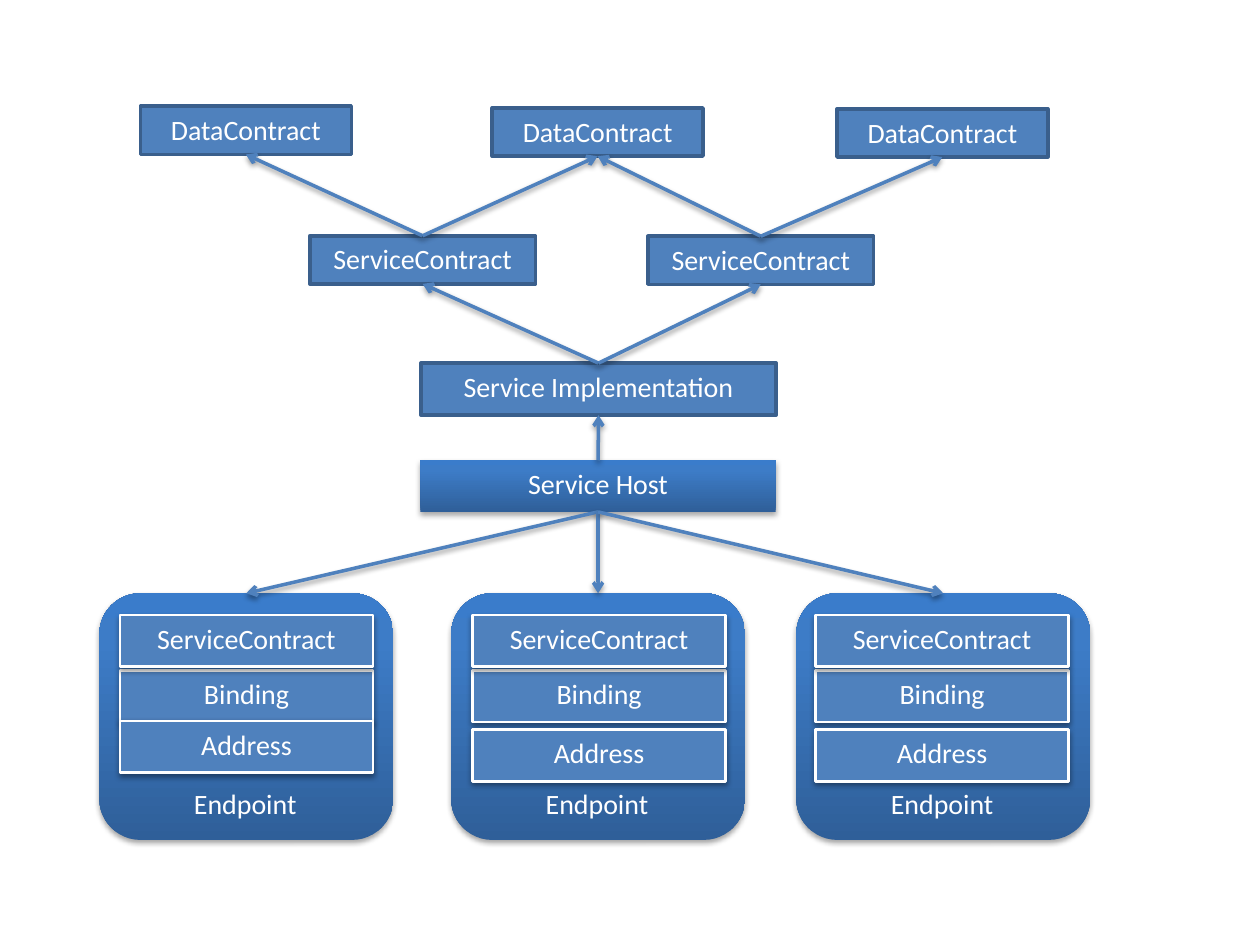
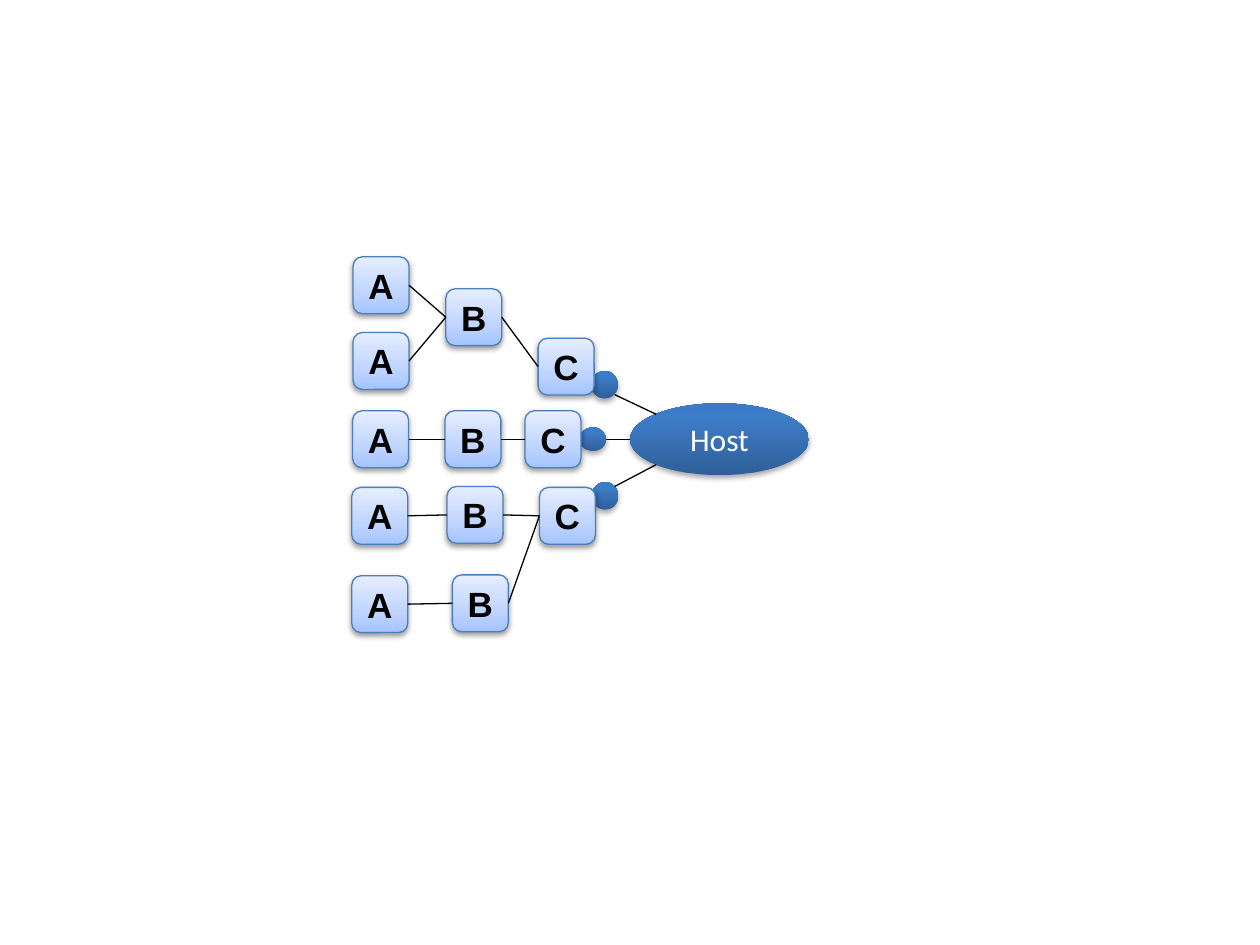
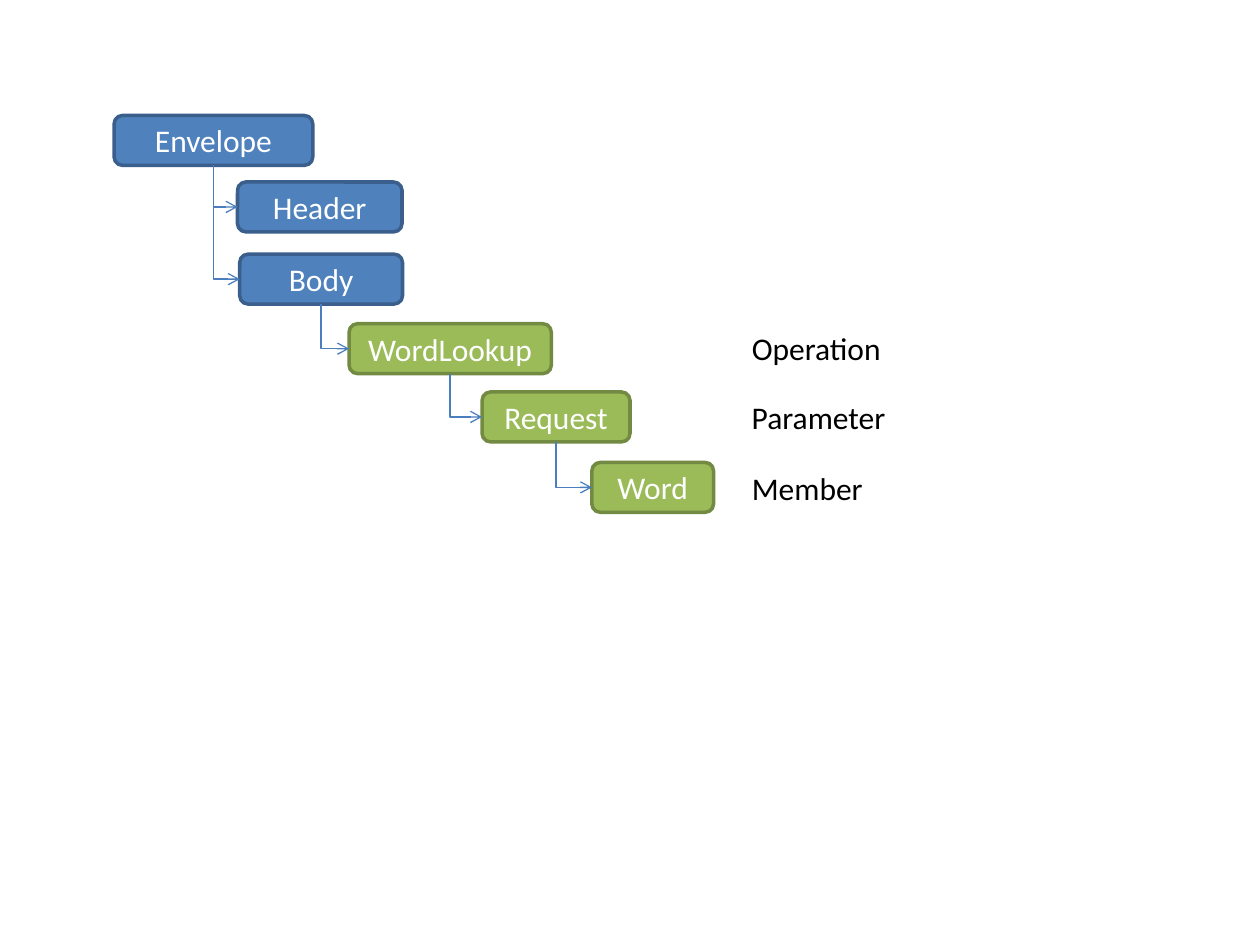
"""Build three diagram slides: service structure, hosted parts, message tree."""
from dataclasses import dataclass
from typing import NamedTuple, Optional

from lxml import etree
from pptx import Presentation
from pptx.dml.color import RGBColor
from pptx.enum.shapes import MSO_CONNECTOR, MSO_SHAPE
from pptx.enum.text import MSO_ANCHOR, MSO_AUTO_SIZE, PP_ALIGN
from pptx.oxml.ns import qn
from pptx.shapes.autoshape import Shape
from pptx.shapes.connector import Connector
from pptx.slide import Slide
from pptx.util import Pt

RECTANGLE = MSO_SHAPE.RECTANGLE
ROUNDED = MSO_SHAPE.ROUNDED_RECTANGLE
OVAL = MSO_SHAPE.OVAL
STRAIGHT = MSO_CONNECTOR.STRAIGHT
ELBOW = MSO_CONNECTOR.ELBOW
TOP_ANCHOR = MSO_ANCHOR.TOP
MIDDLE_ANCHOR = MSO_ANCHOR.MIDDLE
FIT_SHAPE = MSO_AUTO_SIZE.SHAPE_TO_FIT_TEXT
CENTER = PP_ALIGN.CENTER

WHITE = RGBColor(0xFF, 0xFF, 0xFF)
BLACK = RGBColor(0x00, 0x00, 0x00)
BLUE = RGBColor(0x4F, 0x81, 0xBD)
BLUE_EDGE = RGBColor(0x3A, 0x5F, 0x8C)
BLUE_THIN = RGBColor(0x4B, 0x7E, 0xBC)
GREEN = RGBColor(0x9B, 0xBB, 0x59)
GREEN_EDGE = RGBColor(0x73, 0x8A, 0x42)
DEEP_GRADIENT = ((0, RGBColor(0x2F, 0x5F, 0x99)), (80, RGBColor(0x3D, 0x7C, 0xC7)),
                 (100, RGBColor(0x3A, 0x7C, 0xCB)))
PALE_GRADIENT = ((0, RGBColor(0xA4, 0xC4, 0xFF)), (35, RGBColor(0xBF, 0xD4, 0xFF)),
                 (100, RGBColor(0xE6, 0xEE, 0xFF)))

# Connection sites of rectangles
TOP, LEFT, BOTTOM, RIGHT = range(4)


class Shadow(NamedTuple):
    """A soft black shadow straight below a shape."""
    opacity: int
    distance: float
    blur: float = 3.15


class Frame(NamedTuple):
    """Position and size in points."""
    left: float
    top: float
    width: float
    height: float


@dataclass(frozen=True)
class TextStyle:
    """Look of the text in a shape."""
    size: float
    color: RGBColor = WHITE
    font: str = "Calibri"
    bold: bool = False
    anchor: MSO_ANCHOR = MIDDLE_ANCHOR
    wrap: bool = True


@dataclass(frozen=True)
class BoxStyle:
    """Look of a filled shape."""
    kind: MSO_SHAPE
    text: TextStyle
    fill: Optional[RGBColor] = None
    gradient: tuple = ()
    edge: Optional[RGBColor] = None
    edge_width: float = 0
    shadow: Optional[Shadow] = None


@dataclass(frozen=True)
class LineStyle:
    """Look of a connector."""
    color: RGBColor
    width: float
    arrow: bool = False
    shadow: Optional[Shadow] = None


DEEP_SHADOW = Shadow(35, 1.8)
SOFT_SHADOW = Shadow(38, 1.6)

BODY = TextStyle(16, anchor=TOP_ANCHOR)
HEADING = TextStyle(18)
HOST_TEXT = TextStyle(18, wrap=False)
LETTER = TextStyle(20, BLACK, "Arial", bold=True, wrap=False)

CONTRACT = BoxStyle(RECTANGLE, BODY, BLUE, edge=BLUE_EDGE, edge_width=2)
SERVICE_HOST = BoxStyle(RECTANGLE, BODY, gradient=DEEP_GRADIENT, shadow=DEEP_SHADOW)
CARD = BoxStyle(ROUNDED, BODY, gradient=DEEP_GRADIENT, shadow=DEEP_SHADOW)
CARD_ROW = BoxStyle(RECTANGLE, BODY, BLUE, edge=WHITE, edge_width=1.5, shadow=SOFT_SHADOW)
HOST = BoxStyle(OVAL, HOST_TEXT, gradient=DEEP_GRADIENT, shadow=DEEP_SHADOW)
TILE = BoxStyle(ROUNDED, LETTER, gradient=PALE_GRADIENT, edge=BLUE_THIN,
                edge_width=0.75, shadow=SOFT_SHADOW)
BLUE_NODE = BoxStyle(ROUNDED, HEADING, BLUE, edge=BLUE_EDGE, edge_width=2)
GREEN_NODE = BoxStyle(ROUNDED, HEADING, GREEN, edge=GREEN_EDGE, edge_width=2)

FLOW = LineStyle(BLUE, 2, arrow=True, shadow=SOFT_SHADOW)
WIRE = LineStyle(BLACK, 0.75)
BRANCH = LineStyle(BLUE_THIN, 0.75, arrow=True)


def add_effects(element: etree._Element, shadow: Optional[Shadow]) -> None:
    """Append an effect list, empty unless a shadow is given."""
    effects = etree.SubElement(element, qn("a:effectLst"))
    if shadow:
        outer = etree.SubElement(
            effects, qn("a:outerShdw"), blurRad=str(Pt(shadow.blur)),
            dist=str(Pt(shadow.distance)), dir="5400000", rotWithShape="0")
        color = etree.SubElement(outer, qn("a:srgbClr"), val=str(BLACK))
        etree.SubElement(color, qn("a:alpha"), val=str(shadow.opacity * 1000))


def fill_gradient(shape: Shape, stops: tuple) -> None:
    """Fill a shape with a gradient running from bottom to top."""
    shape.fill.gradient()
    shape.fill.gradient_angle = 90
    stop_list = shape._element.spPr.find(qn("a:gradFill")).find(qn("a:gsLst"))
    for old_stop in list(stop_list):
        stop_list.remove(old_stop)
    for position, color in stops:
        stop = etree.SubElement(stop_list, qn("a:gs"), pos=str(position * 1000))
        etree.SubElement(stop, qn("a:srgbClr"), val=str(color))


def write_text(shape: Shape, text: str, style: TextStyle) -> None:
    """Put one styled paragraph in a shape."""
    frame = shape.text_frame
    frame.word_wrap = style.wrap
    frame.vertical_anchor = style.anchor
    paragraph = frame.paragraphs[0]
    paragraph.text = text
    paragraph.font.name = style.font
    paragraph.font.size = Pt(style.size)
    paragraph.font.bold = style.bold
    paragraph.font.color.rgb = style.color


def add_box(slide: Slide, frame: Frame, style: BoxStyle, text: str = "") -> Shape:
    """Draw a filled shape with optional centred text."""
    shape = slide.shapes.add_shape(style.kind, *map(Pt, frame))
    if style.gradient:
        fill_gradient(shape, style.gradient)
    else:
        shape.fill.solid()
        shape.fill.fore_color.rgb = style.fill
    if style.edge is None:
        shape.line.fill.background()
    else:
        shape.line.color.rgb = style.edge
        shape.line.width = Pt(style.edge_width)
    add_effects(shape._element.spPr, style.shadow)
    if text:
        write_text(shape, text, style.text)
        shape.text_frame.paragraphs[0].alignment = CENTER
    return shape


def add_label(slide: Slide, frame: Frame, text: str, style: TextStyle) -> None:
    """Draw a text box that fits its single line."""
    label = slide.shapes.add_textbox(*map(Pt, frame))
    write_text(label, text, style)
    label.text_frame.auto_size = FIT_SHAPE


def style_line(connector: Connector, style: LineStyle) -> None:
    """Set colour, width, arrowhead and shadow of a connector."""
    connector.line.color.rgb = style.color
    connector.line.width = Pt(style.width)
    properties = connector._element.spPr
    if style.arrow:
        etree.SubElement(properties.find(qn("a:ln")), qn("a:tailEnd"), type="arrow")
    add_effects(properties, style.shadow)


def link(slide: Slide, start: Shape, start_site: int, end: Shape, end_site: int,
         style: LineStyle) -> None:
    """Join two shapes at their connection sites with a straight line."""
    connector = slide.shapes.add_connector(STRAIGHT, 0, 0, 0, 0)
    connector.begin_connect(start, start_site)
    connector.end_connect(end, end_site)
    style_line(connector, style)


def branch(slide: Slide, parent: Shape, child: Shape) -> None:
    """Draw an arrow down from a parent, then right into a child."""
    start_x, start_y = parent.left + parent.width // 2, parent.top + parent.height
    across = child.left - start_x
    down = child.top + child.height // 2 - start_y
    # The frame is turned a quarter, so its width is the drop
    left = start_x + (across - down) // 2
    top = start_y + (down - across) // 2
    connector = slide.shapes.add_connector(ELBOW, left, top, left + down, top + across)
    properties = connector._element.spPr
    properties.find(qn("a:prstGeom")).set("prst", "bentConnector2")
    transform = properties.find(qn("a:xfrm"))
    transform.set("rot", "16200000")
    transform.set("flipH", "1")
    style_line(connector, BRANCH)


def add_endpoint(slide: Slide, left: float, row_left: float, address_top: float) -> Shape:
    """Draw an endpoint card with its three rows and its label."""
    card = add_box(slide, Frame(left, 339, 168, 141), CARD)
    for text, top in (("Binding", 383), ("Address", address_top), ("ServiceContract", 351.5)):
        add_box(slide, Frame(row_left, top, 144.75, 29.5), CARD_ROW, text)
    add_label(slide, Frame(left + 47, 445.75, 74, 26.5), "Endpoint", BODY)
    return card


def build_service_slide(slide: Slide) -> None:
    """Contracts, implementation, host and endpoints of a service."""
    cards = [add_endpoint(slide, *place) for place in
             ((56.75, 68.5, 412), (257.75, 270, 417), (455, 466, 417))]
    data = [add_box(slide, Frame(left, top, 120.5, 27.5), CONTRACT, "DataContract")
            for left, top in ((80.25, 60.75), (281.25, 61.75), (478.25, 62.25))]
    services = [add_box(slide, Frame(left, top, 129, 27.5), CONTRACT, "ServiceContract")
                for left, top in ((177, 134.75), (370.25, 135))]
    implementation = add_box(slide, Frame(240.5, 207.5, 203, 29.75), CONTRACT,
                             "Service Implementation")
    host = add_box(slide, Frame(240.25, 263, 203, 29.5), SERVICE_HOST, "Service Host")

    for index, service in enumerate(services):
        for contract in data[index:index + 2]:
            link(slide, service, TOP, contract, BOTTOM, FLOW)
        link(slide, implementation, TOP, service, BOTTOM, FLOW)
    link(slide, host, TOP, implementation, BOTTOM, FLOW)
    for card in cards:
        link(slide, host, BOTTOM, card, TOP, FLOW)


def build_host_slide(slide: Slide) -> None:
    """Chains of lettered parts plugged into one host."""
    add_box(slide, Frame(360, 230.5, 102.25, 41), HOST, "Host")
    for dot in (Frame(338, 212, 15, 15.75), Frame(331.25, 244.25, 15, 13.5),
                Frame(338.25, 275.5, 15, 15.75)):
        add_box(slide, dot, HOST)
    for ends in ((351.25, 225.5, 375, 236.75), (346.25, 251, 360, 251),
                 (375, 265.5, 351.25, 278)):
        style_line(slide.shapes.add_connector(STRAIGHT, *map(Pt, ends)), WIRE)

    places = {
        "C3": (308.25, 278.5), "C2": (300, 234.75), "C1": (307.5, 193.25),
        "A1": (201.75, 146.75), "A2": (201.75, 190), "B1": (254.75, 165),
        "B2": (254.25, 234.75), "A3": (201.5, 234.75), "B3": (255.5, 278),
        "B4": (258.5, 328.5), "A4": (201, 278.5), "A5": (201, 329),
    }
    tiles = {name: add_box(slide, Frame(left, top, 32, 32.5), TILE, name[0])
             for name, (left, top) in places.items()}
    for start, end in (("B1", "C1"), ("A1", "B1"), ("A2", "B1"), ("B2", "C2"), ("A3", "B2"),
                       ("A4", "B3"), ("A5", "B4"), ("B3", "C3"), ("B4", "C3")):
        link(slide, tiles[start], RIGHT, tiles[end], LEFT, WIRE)


def build_message_slide(slide: Slide) -> None:
    """Tree of message elements with the meaning of the lower three."""
    nodes = {}
    for text, left, top, width, style, parent in (
            ("Envelope", 65.25, 66, 113.5, BLUE_NODE, None),
            ("Header", 135.75, 104, 94, BLUE_NODE, "Envelope"),
            ("Body", 137, 145.25, 93, BLUE_NODE, "Envelope"),
            ("WordLookup", 199.5, 185, 115.5, GREEN_NODE, "Body"),
            ("Request", 275.5, 224, 84.5, GREEN_NODE, "WordLookup"),
            ("Word", 338.25, 264.25, 69.5, GREEN_NODE, "Request")):
        nodes[text] = add_box(slide, Frame(left, top, width, 28.5), style, text)
        if parent:
            branch(slide, nodes[parent], nodes[text])

    note = TextStyle(18, BLACK, anchor=TOP_ANCHOR, wrap=False)
    for text, top, width in (("Operation", 184.5, 89.25), ("Parameter", 224, 91.5),
                             ("Member", 264.25, 78.5)):
        add_label(slide, Frame(422.5, top, width, 29), text, note)


def main() -> None:
    """Create the presentation and save it."""
    presentation = Presentation()
    presentation.slide_width, presentation.slide_height = Pt(720), Pt(540)
    blank = presentation.slide_layouts[6]
    for build in (build_service_slide, build_host_slide, build_message_slide):
        build(presentation.slides.add_slide(blank))
    presentation.save("out.pptx")


main()
